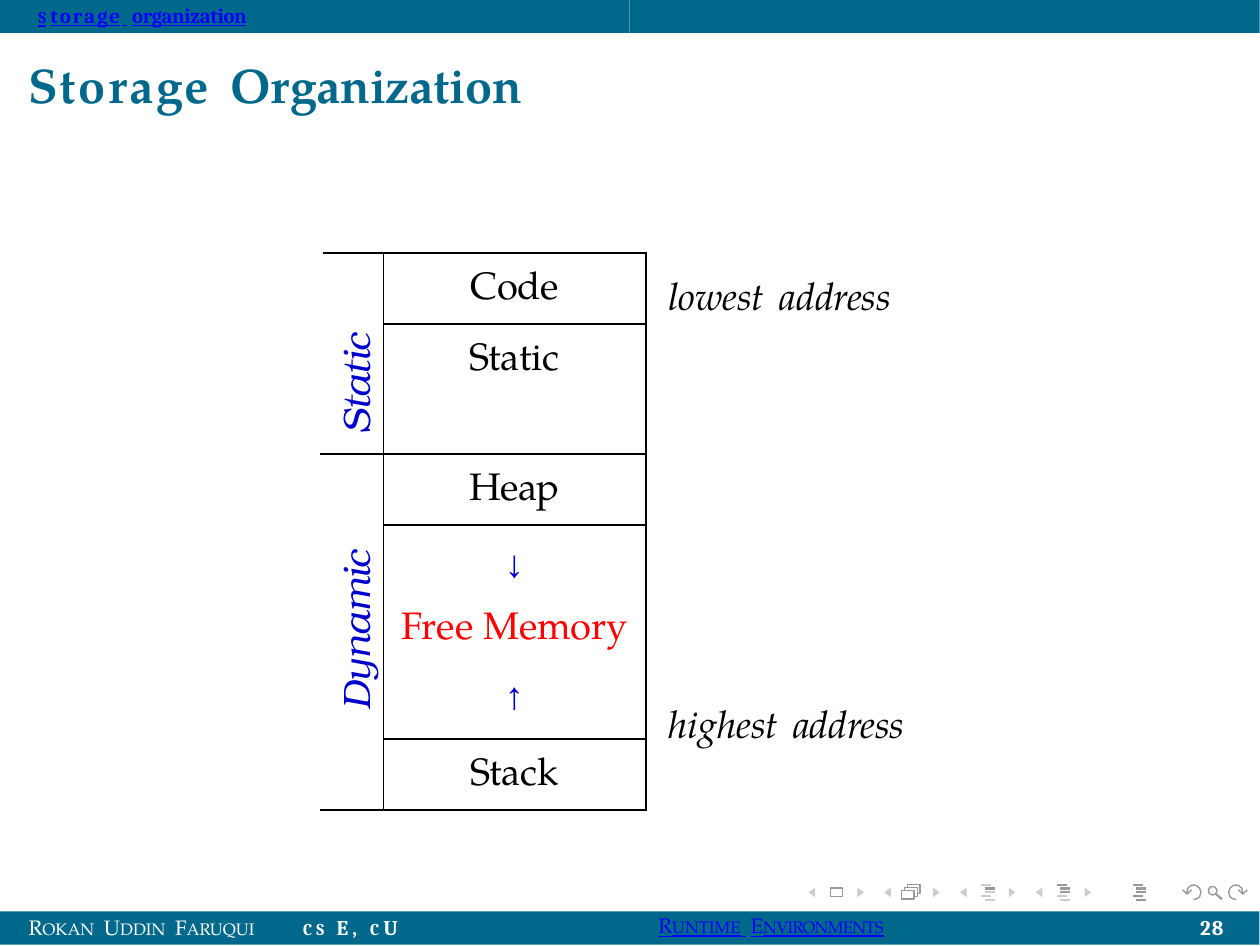
"""Build the Storage Organization slide: a memory layout table with header, footer and navigation bar."""
from dataclasses import dataclass, replace

from lxml import etree
from pptx import Presentation
from pptx.dml.color import RGBColor
from pptx.enum.shapes import MSO_CONNECTOR, MSO_SHAPE
from pptx.enum.text import MSO_AUTO_SIZE, PP_ALIGN
from pptx.oxml.ns import qn
from pptx.util import Emu, Inches, Pt

RECTANGLE, OVAL = MSO_SHAPE.RECTANGLE, MSO_SHAPE.OVAL
STRAIGHT = MSO_CONNECTOR.STRAIGHT
LEFT, CENTER = PP_ALIGN.LEFT, PP_ALIGN.CENTER
FIT_SHAPE = MSO_AUTO_SIZE.SHAPE_TO_FIT_TEXT

SLIDE_WIDTH, SLIDE_HEIGHT = Pt(363), Pt(272.5)
COLUMNS, ROWS = 504, 378
CELL = Inches(0.01)
FINE = 10
NAV_STEP = 30.3
COLORS = {"teal": "00688A", "link": "0000FF", "blue": "0000CC", "red": "FF0000",
          "black": "000000", "white": "FFFFFF", "dark": "999999", "light": "CCCCCC"}
Points = list[tuple[float, float]]


@dataclass(frozen=True)
class Style:
    face: str
    size: float
    color: str
    bold: bool = False
    italic: bool = False
    underline: bool = False


@dataclass(frozen=True)
class Span:
    text: str
    style: Style
    tracking: float = 0
    small: bool = False


@dataclass(frozen=True)
class Line:
    spans: tuple[Span, ...]
    before: float
    indent: float = 1.4
    align: PP_ALIGN = LEFT


@dataclass(frozen=True)
class Label:
    box: tuple[float, float, float, float]
    top_inset: float
    line: Line


@dataclass(frozen=True)
class Region:
    name: str
    first: int
    last: int
    indent: float


PAGELLA, CAMBRIA = "TeX Gyre Pagella", "Cambria"
TITLE = Style(PAGELLA, 14, "teal", bold=True)
SECTION = Style(CAMBRIA, 6, "link", bold=True, underline=True)
AUTHOR = Style(PAGELLA, 6, "white")
TOPIC = Style(PAGELLA, 6, "link", underline=True)
STRONG = Style(CAMBRIA, 6, "white", bold=True)
MEMORY = Style(PAGELLA, 11, "black")
FREE = replace(MEMORY, color="red")
ADDRESS = replace(MEMORY, italic=True)
REGION = Style("TeX Gyre Bonum", 11, "blue", italic=True)
ARROW = replace(REGION, face="Times New Roman")

HEADER = Label((14, 0, 107, 13), 1, Line((
    Span("s", SECTION, 0.6, True), Span("torage", SECTION, 0.6),
    Span(" ", SECTION, 1.5), Span("organization", SECTION, -0.1)), 0.9))
HEADING = Label((10, 20, 210, 27), 2, Line((
    Span("Storage", TITLE, 0.7), Span(" ", TITLE, 1.9), Span("Organization", TITLE, -0.1)), 1.4))
ADDRESSES = [Label((266, top, width, 21), 1, Line((
    Span(end, ADDRESS), Span(" ", ADDRESS, 1.6), Span("address", ADDRESS, -0.1)), 0.9))
    for end, top, width in (("lowest", 108, 96), ("highest", 279, 102))]
FOOTERS = [
    Label((10, 363, 151, 15), 3, Line((
        Span("R", AUTHOR), Span("okan", AUTHOR, small=True), Span(" ", AUTHOR, 0.8, True),
        Span("U", AUTHOR), Span("ddin", AUTHOR, small=True), Span(" ", AUTHOR, 0.8, True),
        Span("F", AUTHOR), Span("aruqui", AUTHOR, small=True), Span(" ", AUTHOR, 6.4, True),
        Span("cs", STRONG, 1.2, True), Span("E, ", STRONG, 1.2),
        Span("c", STRONG, 0.6, True), Span("U", STRONG, 0.6)), 1.9)),
    Label((262, 363, 99, 14), 2, Line((
        Span("R", TOPIC), Span("untime", TOPIC, small=True), Span(" ", TOPIC, 1.3),
        Span("E", TOPIC, -0.2), Span("nvironments", TOPIC, -0.2, True)), 1.6)),
    Label((476, 363, 21, 15), 3, Line((Span("28", STRONG, 0.4),), 1.9, 4.2)),
]

REGIONS = [Region("Static", 0, 1, 8), Region("Dynamic", 2, 4, 40)]
REGION_WIDTH, SEGMENT_WIDTH = 24.6, 105
FREE_MEMORY = [(Span("↓", ARROW, -0.5),),
               (Span("Free ", FREE), Span("Memory", FREE, -0.1)),
               (Span("↑", ARROW, -0.5),)]
SEGMENTS = [(28.4, [(Span("Code", MEMORY, -0.2),)]),
            (52.2, [(Span("Static", MEMORY, -0.1),)]),
            (28.4, [(Span("Heap", MEMORY, -0.2),)]),
            (85.6, FREE_MEMORY),
            (28.4, [(Span("Stack", MEMORY, -0.1),)])]


def grid(*cells: float) -> list[Emu]:
    return [Emu(round(count * CELL)) for count in cells]


def rgb(color: str) -> RGBColor:
    return RGBColor.from_string(COLORS[color])


def write(frame, lines: list[Line]) -> None:
    for number, line in enumerate(lines):
        paragraph = frame.add_paragraph() if number else frame.paragraphs[0]
        paragraph.alignment = line.align
        paragraph.space_before = Pt(line.before)
        paragraph._p.get_or_add_pPr().set("marL", str(grid(line.indent)[0]))
        for span in line.spans:
            run = paragraph.add_run()
            run.text = span.text
            font, style = run.font, span.style
            font.name, font.size, font.color.rgb = style.face, Pt(style.size), rgb(style.color)
            font.bold, font.italic, font.underline = style.bold, style.italic, style.underline
            properties = run._r.get_or_add_rPr()
            properties.set("spc", str(round(span.tracking * 100)))
            if span.small:
                properties.set("cap", "small")


def add_label(shapes, label: Label) -> None:
    frame = shapes.add_textbox(*grid(*label.box)).text_frame
    frame.word_wrap, frame.auto_size = True, FIT_SHAPE
    frame.margin_left = frame.margin_right = frame.margin_bottom = 0
    frame.margin_top = grid(label.top_inset)[0]
    write(frame, [label.line])


def paint(shape, fill: str = "", line: str = "") -> None:
    shape.shadow.inherit = False
    if fill:
        shape.fill.solid()
        shape.fill.fore_color.rgb = rgb(fill)
    else:
        shape.fill.background()
    if line:
        shape.line.color.rgb, shape.line.width = rgb(line), Pt(0.4)
    else:
        shape.line.fill.background()


def add_bar(shapes, *box: float) -> None:
    paint(shapes.add_shape(RECTANGLE, *grid(*box)), fill="teal")


def add_outline(shapes, points: Points, closed: bool = False, fill: str = "", line: str = "") -> None:
    start, *rest = [(x * FINE, y * FINE) for x, y in points]
    builder = shapes.build_freeform(*start, scale=CELL / FINE)
    builder.add_line_segments(rest, close=closed)
    paint(builder.convert_to_shape(), fill, line)


def add_stroke(shapes, start: tuple[float, float], end: tuple[float, float], color: str) -> None:
    stroke = shapes.add_connector(STRAIGHT, *grid(*start, *end))
    stroke.line.color.rgb, stroke.line.width = rgb(color), Pt(0.6)
    etree.SubElement(stroke._element.spPr, qn("a:effectLst"))


def add_navigation(shapes) -> None:
    for step in range(4):
        for base, tip in ((326.2, 323.6), (343.1, 345.7)):
            shift = step * NAV_STEP
            add_outline(shapes, [(base + shift, 355.1), (tip + shift, 357), (base + shift, 358.9)],
                        True, fill="light")
    paint(shapes.add_shape(RECTANGLE, *grid(332.2, 355.3, 5, 3.4)), line="dark")
    paint(shapes.add_shape(RECTANGLE, *grid(360.8, 356.4, 5, 3.4)), line="dark")
    for lift in (0, 1.2):
        add_outline(shapes, [(362 + lift, 356.2 - lift), (362 + lift, 355.2 - lift),
                             (367 + lift, 355.2 - lift), (367 + lift, 358.6 - lift),
                             (366 + lift, 358.6 - lift)], line="dark")
    for step, dark_bars in enumerate(({1}, {0, 1, 2}, {0, 1, 2, 3, 4})):
        for bar, inset in enumerate((0, 1.4, 1.4, 0, 1.4)):
            left, top = 392.6 + step * NAV_STEP + inset, 354 + bar * 1.5
            add_stroke(shapes, (left, top), (left + 4, top), "dark" if bar in dark_bars else "light")
    paint(shapes.add_shape(OVAL, *grid(483.6, 354.7, 3.4, 3.4)), line="dark")
    add_stroke(shapes, (486.6, 357.7), (489, 359.8), "dark")
    loop = [(477.6, 359.8), (479, 359.6), (480.1, 358.7), (480.6, 357), (480.1, 355.4),
            (479, 354.4), (477.8, 354), (476.4, 354.4), (475.3, 355.4), (475, 357.3)]
    for points in (loop, [(476.8, 356), (475, 357.7), (473.2, 356)]):
        add_outline(shapes, points, line="dark")
        add_outline(shapes, [(972.3 - x, y) for x, y in points], line="dark")


def format_cell(cell, top_inset: float, lines: list[Line], sides: str) -> None:
    cell.margin_left = cell.margin_right = cell.margin_bottom = 0
    cell.margin_top = grid(top_inset)[0]
    properties = cell._tc.get_or_add_tcPr()
    for side in sides:
        border = etree.SubElement(properties, qn(f"a:ln{side}"), w=str(Pt(0.5)))
        etree.SubElement(etree.SubElement(border, qn("a:solidFill")), qn("a:srgbClr"), val=COLORS["black"])
    cell.fill.background()
    write(cell.text_frame, lines)


def add_memory_table(shapes) -> None:
    height = sum(row_height for row_height, _ in SEGMENTS)
    box = grid(128.8, 101.2, REGION_WIDTH + SEGMENT_WIDTH, height)
    table = shapes.add_table(len(SEGMENTS), 2, *box).table
    table.first_row = table.horz_banding = False
    table.columns[0].width, table.columns[1].width = grid(REGION_WIDTH, SEGMENT_WIDTH)
    for row, (row_height, texts) in enumerate(SEGMENTS):
        table.rows[row].height = grid(row_height)[0]
        lines = [Line(spans, 7.3 if number else 5.2, 0, CENTER) for number, spans in enumerate(texts)]
        format_cell(table.cell(row, 1), 7.3, lines, "LRTB")
    for region in REGIONS:
        cell = table.cell(region.first, 0)
        cell.merge(table.cell(region.last, 0))
        format_cell(cell, 3, [Line((Span(region.name, REGION, -0.1),), 2.4, region.indent)], "RTB")
        cell._tc.get_or_add_tcPr().set("vert", "vert270")


def main() -> None:
    deck = Presentation()
    deck.slide_width, deck.slide_height = SLIDE_WIDTH, SLIDE_HEIGHT
    shapes = deck.slides.add_slide(deck.slide_layouts[6]).shapes
    add_navigation(shapes)
    for half in range(2):
        add_bar(shapes, half * COLUMNS / 2, 0, COLUMNS / 2, 13.2)
    add_bar(shapes, 0, ROWS - 13.4, COLUMNS, 13.4)
    add_memory_table(shapes)
    for label in [HEADER, HEADING, *ADDRESSES, *FOOTERS]:
        add_label(shapes, label)
    deck.save("out.pptx")


if __name__ == "__main__":
    main()
